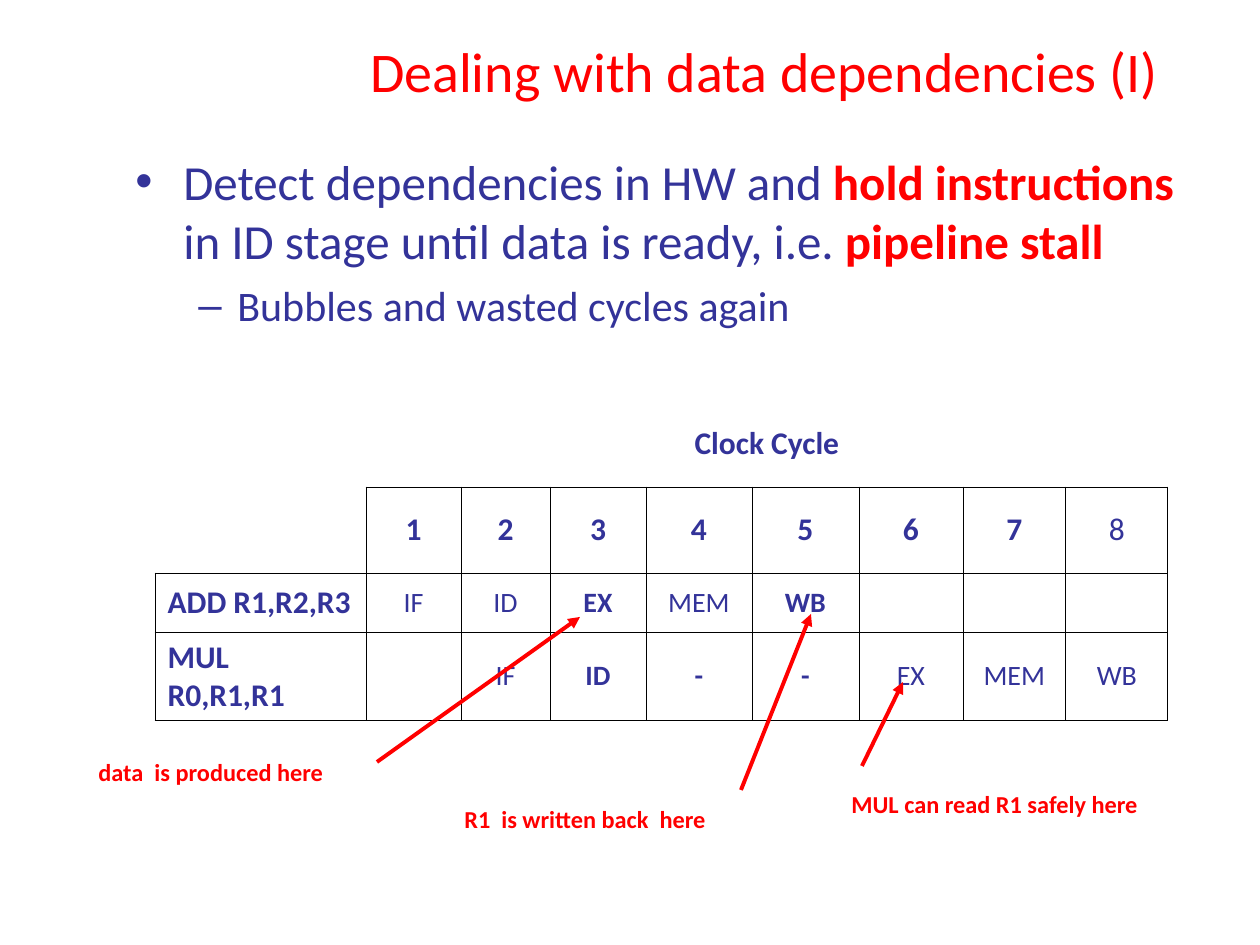
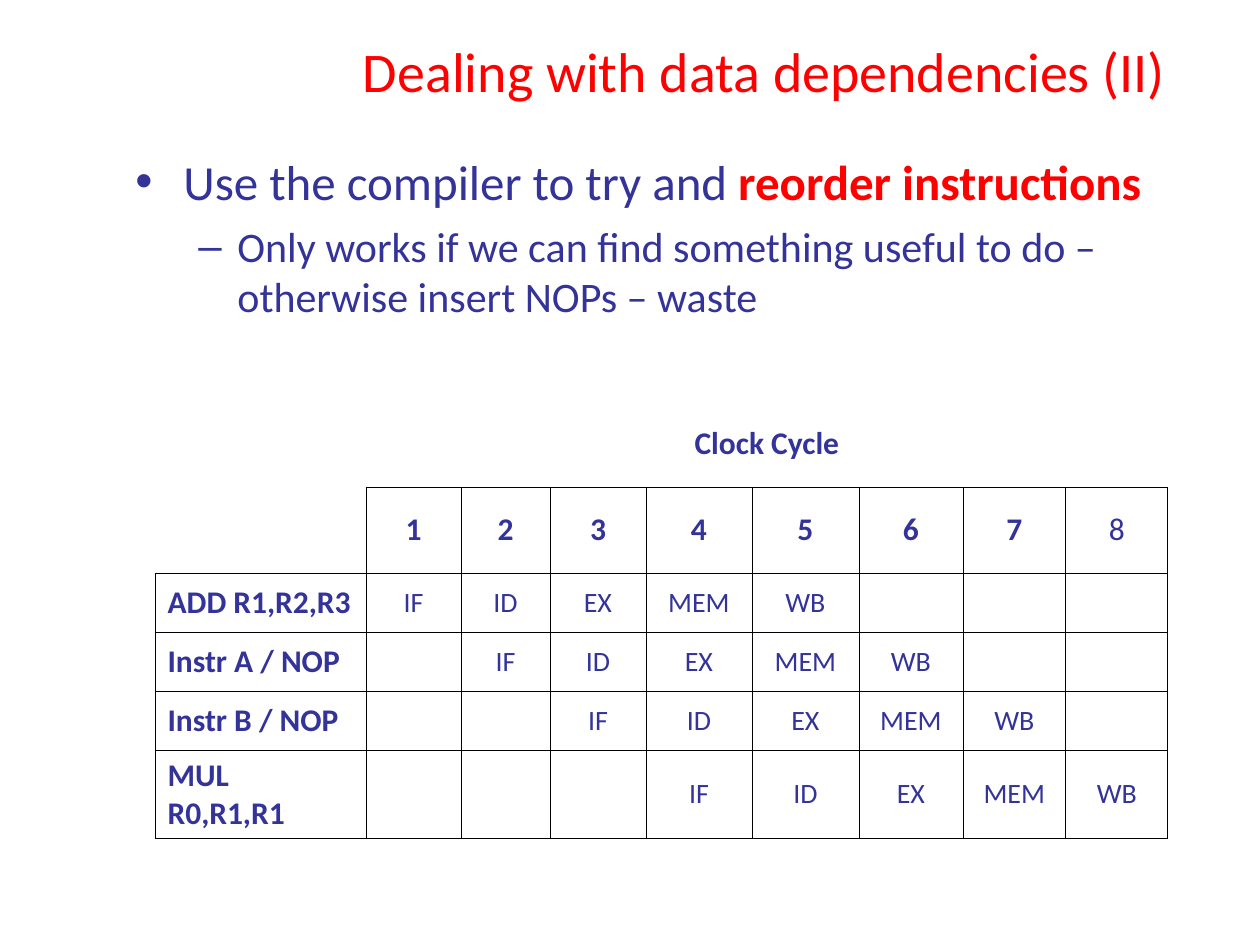
import pptx
import pptx.dml.color
import pptx.enum.shapes
import pptx.enum.text
import pptx.oxml
import pptx.oxml.ns
import pptx.util

EMU_PER_PX = 914400 / 126
FONT = "Calibri"
RED = pptx.dml.color.RGBColor(0xFF, 0x00, 0x00)
NAVY = pptx.dml.color.RGBColor(0x33, 0x33, 0x99)
WHITE = pptx.dml.color.RGBColor(0xFF, 0xFF, 0xFF)
CENTER = pptx.enum.text.PP_ALIGN.CENTER
LEFT = pptx.enum.text.PP_ALIGN.LEFT
MIDDLE = pptx.enum.text.MSO_ANCHOR.MIDDLE
NAMESPACE = pptx.oxml.ns.nsdecls("a")

TITLE_BOX = (333, 16, 863, 109)
BODY_BOX = (123, 145, 1074, 736)
TABLE_LEFT, TABLE_TOP = 155, 401
COLUMN_WIDTHS = [211, 95, 89, 96, 106, 107, 104, 103, 102]
HEADER_HEIGHT, ROW_HEIGHT, LAST_ROW_HEIGHT = 86, 59, 61
CYCLES = 8
STAGES = ["IF", "ID", "EX", "MEM", "WB"]

# Per outline level: bullet, left margin px, hanging px, size pt, space before pt
LEVELS = [("•", 48, 48, 28, 7), ("–", 102, 39, 24, 6)]

# Outline: one list per level of (text, emphasised).
# Schedule: (instruction, first cycle, stages). Bold: (schedule row, cycle).
SLIDES = [
    {
        "title": "Dealing with data dependencies (I)",
        "outline": [
            [("Detect dependencies in HW and ", False),
             ("hold instructions", True),
             (" in ID stage until data is ready, i.e. ", False),
             ("pipeline stall", True)],
            [("Bubbles and wasted cycles again", False)],
        ],
        "schedule": [
            ("ADD R1,R2,R3", 1, STAGES),
            ("MUL R0,R1,R1", 2, ["IF", "ID", "-", "-", "EX", "MEM", "WB"]),
        ],
        "bold": {(0, 3), (0, 5), (1, 3), (1, 4), (1, 5)},
        "labels": [
            ("R1  is written back  here", (452, 770, 353, 71)),
            ("data  is produced here", (86, 723, 295, 71)),
            ("MUL can read R1 safely here", (839, 755, 421, 71)),
        ],
        "arrows": [(377, 762, 580, 617), (741, 790, 811, 614), (862, 766, 903, 682)],
    },
    {
        "title": "Dealing with data dependencies (II)",
        "outline": [
            [("Use the compiler to try and ", False), ("reorder instructions", True)],
            [("Only works if we can find something useful to do – "
              "otherwise insert NOPs – waste", False)],
        ],
        "schedule": [
            ("ADD R1,R2,R3", 1, STAGES),
            ("Instr A / NOP", 2, STAGES),
            ("Instr B / NOP", 3, STAGES),
            ("MUL R0,R1,R1", 4, STAGES),
        ],
        "bold": set(),
        "labels": [],
        "arrows": [],
    },
]


def px(*lengths):
    """Turn px lengths into a list of EMU."""
    return [pptx.util.Emu(round(length * EMU_PER_PX)) for length in lengths]


def format_runs(paragraph, size, color, bold=False):
    for run in paragraph.runs:
        run.font.name = FONT
        run.font.size = pptx.util.Pt(size)
        run.font.color.rgb = color
        run.font.bold = bold


presentation = pptx.Presentation()
presentation.slide_width, presentation.slide_height = px(1260, 945)
title_only = presentation.slide_layouts.get_by_name("Title Only")

for content in SLIDES:
    slide = presentation.slides.add_slide(title_only)

    title = slide.shapes.title
    title.left, title.top, title.width, title.height = px(*TITLE_BOX)
    title.text_frame.text = content["title"]
    title.text_frame.vertical_anchor = MIDDLE
    title.text_frame.paragraphs[0].alignment = CENTER
    format_runs(title.text_frame.paragraphs[0], 32, RED)

    # Outline
    body = slide.shapes.add_textbox(*px(*BODY_BOX)).text_frame
    body.word_wrap = True
    for level, pieces in enumerate(content["outline"]):
        bullet, margin, hanging, size, space = LEVELS[level]
        paragraph = body.add_paragraph() if level else body.paragraphs[0]
        paragraph.level = level
        paragraph.space_before = pptx.util.Pt(space)
        for text, emphasised in pieces:
            run = paragraph.add_run()
            run.text = text
        format_runs(paragraph, size, NAVY)
        for run, (text, emphasised) in zip(paragraph.runs, pieces):
            if emphasised:
                run.font.color.rgb = RED
                run.font.bold = True
        properties = paragraph._p.get_or_add_pPr()
        left_margin, indent = px(margin, -hanging)
        properties.set("marL", str(left_margin))
        properties.set("indent", str(indent))
        for xml in (f'<a:buClr {NAMESPACE}><a:srgbClr val="{NAVY}"/></a:buClr>',
                    f'<a:buFont {NAMESPACE} typeface="Arial"/>',
                    f'<a:buChar {NAMESPACE} char="{bullet}"/>'):
            properties.append(pptx.oxml.parse_xml(xml))

    # Pipeline table
    schedule = content["schedule"]
    row_heights = ([HEADER_HEIGHT] * 2 + [ROW_HEIGHT] * (len(schedule) - 1)
                   + [LAST_ROW_HEIGHT])
    table = slide.shapes.add_table(
        len(row_heights), len(COLUMN_WIDTHS),
        *px(TABLE_LEFT, TABLE_TOP, sum(COLUMN_WIDTHS), sum(row_heights))).table
    table.first_row = False
    table.horz_banding = False
    for column, width in zip(table.columns, px(*COLUMN_WIDTHS)):
        column.width = width
    for row, height in zip(table.rows, px(*row_heights)):
        row.height = height
    table.cell(0, 1).merge(table.cell(0, CYCLES))

    # (row, column): text, size, bold
    entries = {(0, 1): ("Clock Cycle", 18, True)}
    for cycle in range(1, CYCLES + 1):
        entries[1, cycle] = (str(cycle), 18, cycle < CYCLES)
    for index, (instruction, first_cycle, stages) in enumerate(schedule):
        entries[index + 2, 0] = (instruction, 18, True)
        for cycle, stage in enumerate(stages, first_cycle):
            entries[index + 2, cycle] = (stage, 16, (index, cycle) in content["bold"])

    # Cells with an outline; an edge is drawn when either of its cells has one
    grid = {(row, column) for row in range(1, len(row_heights))
            for column in range(len(COLUMN_WIDTHS))} - {(1, 0)}
    for row in range(len(row_heights)):
        for column in range(len(COLUMN_WIDTHS)):
            cell = table.cell(row, column)
            cell.vertical_anchor = MIDDLE
            cell_properties = cell._tc.get_or_add_tcPr()
            neighbours = {"lnL": (row, column - 1), "lnR": (row, column + 1),
                          "lnT": (row - 1, column), "lnB": (row + 1, column)}
            for edge, neighbour in neighbours.items():
                drawn = (row, column) in grid or neighbour in grid
                paint = ('<a:solidFill><a:srgbClr val="000000"/></a:solidFill>'
                         if drawn else "<a:noFill/>")
                cell_properties.append(pptx.oxml.parse_xml(
                    f'<a:{edge} {NAMESPACE} w="5715">{paint}</a:{edge}>'))
            cell.fill.solid()
            cell.fill.fore_color.rgb = WHITE
            if (row, column) in entries:
                text, size, bold = entries[row, column]
                cell.text_frame.text = text
                paragraph = cell.text_frame.paragraphs[0]
                paragraph.alignment = CENTER if column else LEFT
                format_runs(paragraph, size, NAVY, bold)

    # Lowered labels and their arrows
    for text, box in content["labels"]:
        label = slide.shapes.add_textbox(*px(*box)).text_frame
        label.word_wrap = True
        label.text = text
        format_runs(label.paragraphs[0], 24, RED, True)
        label.paragraphs[0].runs[0].font._element.set("baseline", "-25000")
    for ends in content["arrows"]:
        arrow = slide.shapes.add_connector(
            pptx.enum.shapes.MSO_CONNECTOR.STRAIGHT, *px(*ends))
        arrow.line.color.rgb = RED
        arrow.line.width = pptx.util.Pt(2.25)
        arrow.line._get_or_add_ln().append(
            pptx.oxml.parse_xml(f'<a:tailEnd {NAMESPACE} type="triangle"/>'))
        arrow._element.spPr.append(pptx.oxml.parse_xml(f"<a:effectLst {NAMESPACE}/>"))

presentation.save("out.pptx")
